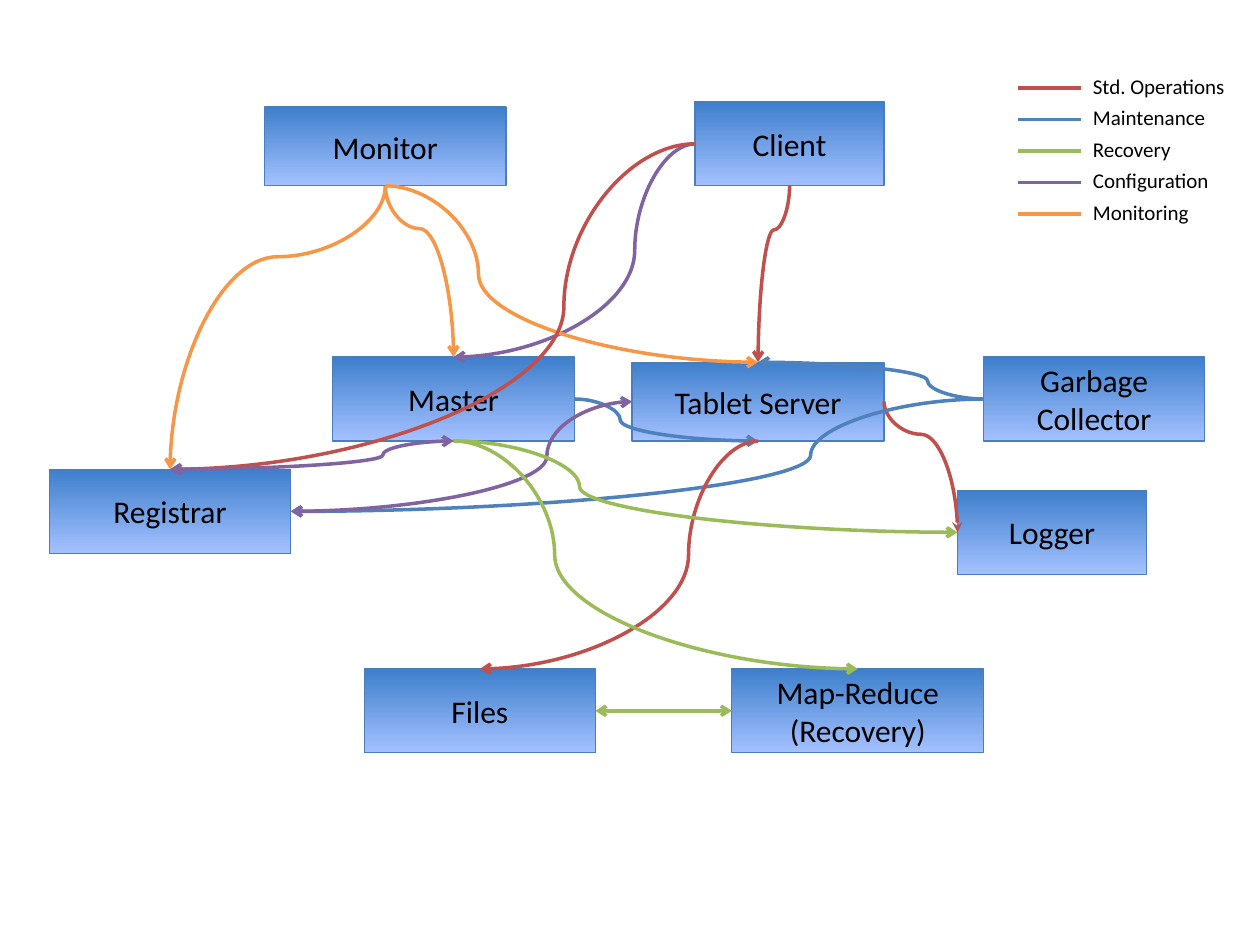
from lxml import etree
from pptx import Presentation
from pptx.dml.color import RGBColor
from pptx.enum.shapes import MSO_CONNECTOR, MSO_SHAPE
from pptx.enum.text import MSO_ANCHOR, MSO_AUTO_SIZE, PP_ALIGN
from pptx.oxml.ns import qn
from pptx.util import Inches, Pt

RECTANGLE = MSO_SHAPE.RECTANGLE
CURVE, STRAIGHT = MSO_CONNECTOR.CURVE, MSO_CONNECTOR.STRAIGHT
MIDDLE, CENTER = MSO_ANCHOR.MIDDLE, PP_ALIGN.CENTER
NO_AUTOSIZE = MSO_AUTO_SIZE.NONE

BLACK = RGBColor(0x00, 0x00, 0x00)
BOX_TOP = RGBColor(0x3E, 0x7F, 0xCC)
BOX_BOTTOM = RGBColor(0xA4, 0xC1, 0xFF)
BOX_EDGE = RGBColor(0x4A, 0x7E, 0xBB)
STANDARD = RGBColor(0xC0, 0x50, 0x4D)
MAINTENANCE = RGBColor(0x4F, 0x81, 0xBD)
RECOVERY = RGBColor(0x9B, 0xBB, 0x59)
CONFIGURATION = RGBColor(0x80, 0x64, 0xA2)
MONITORING = RGBColor(0xF7, 0x96, 0x46)

FONT = "Calibri"
TOP, LEFT, BOTTOM, RIGHT = range(4)
QUARTER_TURN = 5400000
KNEE = "val 25000"  # the curve bends a quarter of the way along

prs = Presentation()
prs.slide_width, prs.slide_height = Inches(10), Inches(7.5)
COL = prs.slide_width / 120
ROW = prs.slide_height / 90
slide = prs.slides.add_slide(prs.slide_layouts[6])
shapes = slide.shapes


def grid(left, top, width, height):
    """Turn columns and rows into slide lengths."""
    return [round(n) for n in (left * COL, top * ROW, width * COL, height * ROW)]


def add_line(kind, start, end, color):
    line = shapes.add_connector(kind, *start, *end)
    line.line.color.rgb = color
    line.line.width = Pt(2)
    etree.SubElement(line._element.spPr, qn("a:effectLst"))
    return line


# Components: left, top, width, height in columns and rows
MAP_REDUCE = "Map-Reduce\n(Recovery)"
components = {
    "Monitor": (25.2, 10.2, 23, 7.5),
    "Master": (31.7, 34, 23, 8),
    "Tablet Server": (60.2, 34.5, 24, 7.5),
    "Client": (66.2, 9.7, 18, 8),
    "Registrar": (4.7, 44.7, 23, 8),
    "Files": (34.7, 63.7, 22, 8),
    "Garbage Collector": (93.7, 34, 21, 8),
    MAP_REDUCE: (69.7, 63.7, 24, 8),
    "Logger": (91.2, 46.7, 18, 8),
}
sides = {}
for name, place in components.items():
    left, top, width, height = grid(*place)
    box = shapes.add_shape(RECTANGLE, left, top, width, height)
    box.shadow.inherit = False
    box.fill.gradient()
    box.fill.gradient_angle = 270
    for stop, color in zip(box.fill.gradient_stops, (BOX_TOP, BOX_BOTTOM)):
        stop.color.rgb = color
    box.line.color.rgb = BOX_EDGE
    box.line.width = Pt(0.75)
    box.text_frame.text = name
    box.text_frame.word_wrap = True
    box.text_frame.vertical_anchor = MIDDLE
    for paragraph in box.text_frame.paragraphs:
        paragraph.alignment = CENTER
        paragraph.font.name = FONT
        paragraph.font.size = Pt(18)
        paragraph.font.color.rgb = BLACK
    middle_x, middle_y = left + width // 2, top + height // 2
    sides[name] = ((middle_x, top), (left, middle_y),
                   (middle_x, top + height), (left + width, middle_y))

# Links: source, side, target, side, colour, leaves downwards, heads
ONE_WAY = {"tailEnd": "arrow"}
TWO_WAY = {"headEnd": "arrow", "tailEnd": "arrow"}
STEALTH = {"tailEnd": "stealth"}
links = [
    ("Client", BOTTOM, "Tablet Server", TOP, STANDARD, True, ONE_WAY),
    ("Client", LEFT, "Master", TOP, CONFIGURATION, False, ONE_WAY),
    ("Master", RIGHT, "Tablet Server", BOTTOM, MAINTENANCE, False, ONE_WAY),
    ("Monitor", BOTTOM, "Master", TOP, MONITORING, True, ONE_WAY),
    ("Monitor", BOTTOM, "Tablet Server", TOP, MONITORING, False, ONE_WAY),
    ("Tablet Server", RIGHT, "Logger", LEFT, STANDARD, True, STEALTH),
    ("Garbage Collector", LEFT, "Tablet Server", TOP, MAINTENANCE, False, ONE_WAY),
    ("Garbage Collector", LEFT, "Registrar", RIGHT, MAINTENANCE, False, ONE_WAY),
    ("Client", LEFT, "Registrar", TOP, STANDARD, False, ONE_WAY),
    ("Master", BOTTOM, "Registrar", TOP, CONFIGURATION, False, TWO_WAY),
    ("Tablet Server", LEFT, "Registrar", RIGHT, CONFIGURATION, False, TWO_WAY),
    ("Tablet Server", BOTTOM, "Files", TOP, STANDARD, False, ONE_WAY),
    ("Files", RIGHT, MAP_REDUCE, LEFT, RECOVERY, False, TWO_WAY),
    ("Master", BOTTOM, MAP_REDUCE, TOP, RECOVERY, False, ONE_WAY),
    ("Monitor", BOTTOM, "Registrar", TOP, MONITORING, True, ONE_WAY),
    ("Master", BOTTOM, "Logger", LEFT, RECOVERY, False, ONE_WAY),
]
for source, source_side, target, target_side, color, downwards, heads in links:
    start, end = sides[source][source_side], sides[target][target_side]
    link = add_line(CURVE, start, end, color)
    for tag, head in heads.items():
        etree.SubElement(link.line._get_or_add_ln(), qn("a:" + tag), type=head)
    knee_list = link._element.spPr.find(qn("a:prstGeom")).find(qn("a:avLst"))
    etree.SubElement(knee_list, qn("a:gd"), name="adj1", fmla=KNEE)

    frame = link._element.spPr.find(qn("a:xfrm"))
    leftwards, upwards = end[0] < start[0], end[1] < start[1]
    if downwards:
        across, down = link.width, link.height
        link.left += (across - down) // 2
        link.top += (down - across) // 2
        link.width, link.height = down, across
        frame.set("rot", str(QUARTER_TURN * (1 if leftwards else 3)))
        frame.set("flipH", "0" if leftwards else "1")
    elif leftwards:
        frame.set("rot", str(QUARTER_TURN * 2))
        frame.set("flipH", "0")
        frame.set("flipV", "0" if upwards else "1")

# Legend: one entry every three rows
legend = [("Std. Operations", STANDARD), ("Maintenance", MAINTENANCE),
          ("Recovery", RECOVERY), ("Configuration", CONFIGURATION),
          ("Monitoring", MONITORING)]
for index, (meaning, color) in enumerate(legend):
    left, y, length, height = grid(97, 8.4 + 3 * index, 6, 0)
    add_line(STRAIGHT, (left, y), (left + length, y + height), color)
    label = shapes.add_textbox(*grid(102.9, 6.4 + 3 * index, 15, 3.6))
    label.text_frame.word_wrap = False
    label.text_frame.auto_size = NO_AUTOSIZE
    paragraph = label.text_frame.paragraphs[0]
    paragraph.text = meaning
    paragraph.font.name = FONT
    paragraph.font.size = Pt(12)
    paragraph.font.color.rgb = BLACK

prs.save("out.pptx")
